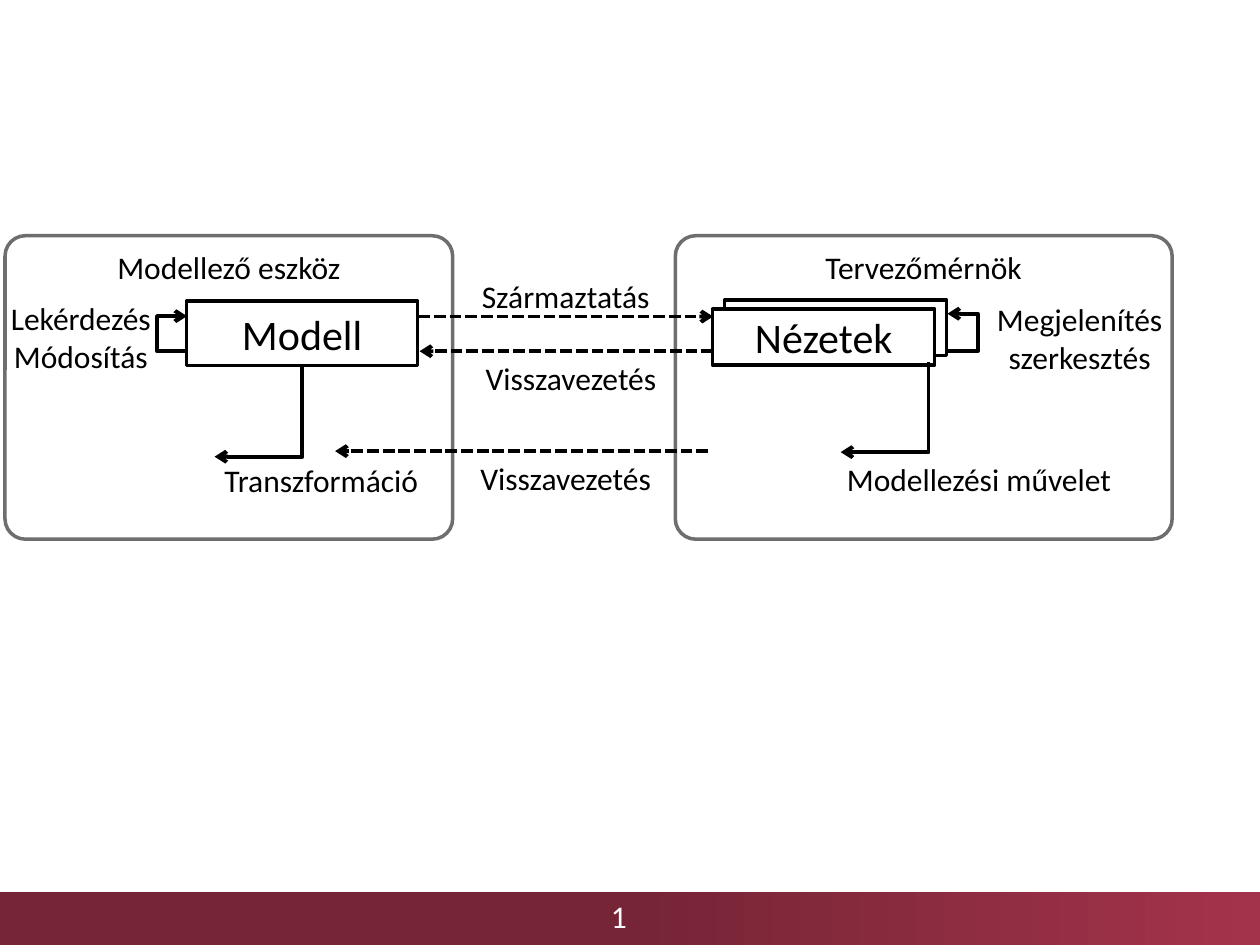
from pptx import Presentation
from pptx.dml.color import RGBColor
from pptx.enum.dml import MSO_LINE
from pptx.enum.shapes import MSO_CONNECTOR, MSO_SHAPE
from pptx.enum.text import MSO_ANCHOR, PP_ALIGN
from pptx.oxml.ns import qn
from pptx.util import Pt
from lxml import etree

RECT, ROUND = MSO_SHAPE.RECTANGLE, MSO_SHAPE.ROUNDED_RECTANGLE
LINE, ELBOW = MSO_CONNECTOR.STRAIGHT, MSO_CONNECTOR.ELBOW
DASH = MSO_LINE.SQUARE_DOT
TOP, MIDDLE = MSO_ANCHOR.TOP, MSO_ANCHOR.MIDDLE
LEFT, CENTER = PP_ALIGN.LEFT, PP_ALIGN.CENTER

THEME = {
    "font": "Calibri", "label": 18, "box": 24,
    "ink": "000000", "paper": "FFFFFF", "frame": "6C6E70",
    "dark": "762536", "light": "A3334B",
    "edge": 2, "arrow": 2.25,
}

# Content: lengths in points
WIDE, HIGH = 720, 540
BAR_TOP = 509.8
PANEL_TOP, PANEL_HIGH = 134.7, 173.4
PANELS = [("Tervezőmérnök", 385.9, 283.9), ("Modellező eszköz", 2.9, 255.8)]
BOXES = [  # text, left, top, width, height
    ("Modell", 106.6, 172.1, 132.1, 36.9),
    ("", 414, 171.4, 127, 31.9),
    ("Nézetek", 407.2, 176.6, 127, 31.9),
]
DASHED = [  # start x, end x, y
    (239, 407.5, 180.9),
    (407.5, 239.8, 200.7),
    (404.6, 191.5, 257.8),
]
LOOPS = [  # start x, start y, end x, end y, turning x
    (540.7, 200.7, 541.4, 179.3, 558.4),
    (107.6, 200.7, 106.9, 180.7, 90),
]
CORNERS = [(172.8, 209.4), (530.6, 206.8)]  # start, then down and left
DOWN, ACROSS = 51.6, 50.2
LABEL_HIGH = 29
LABELS = [  # text, left, top, width
    ("Származtatás", 239, 154.9, 168.5),
    ("Visszavezetés", 242, 201.8, 168.5),
    ("Lekérdezés\nMódosítás", -4.3, 167.2, 101),
    ("Megjelenítés\nszerkesztés", 558.7, 167.8, 116.6),
    ("Transzformáció", 118.1, 260.1, 131),
    ("Modellezési művelet", 475.2, 259.4, 168.5),
    ("Visszavezetés", 239, 258.5, 168.5),
]


def tint(name):
    return RGBColor.from_string(THEME[name])


def write(shape, text, size="label", color="ink", align=CENTER, anchor=TOP):
    frame = shape.text_frame
    frame.word_wrap = True
    frame.vertical_anchor = anchor
    para = frame.paragraphs[0]
    para.text = text
    para.alignment = align
    for run in para.runs:
        run.font.name = THEME["font"]
        run.font.size = Pt(THEME[size])
        run.font.color.rgb = tint(color)


def block(kind, x, y, w, h, edge=None):
    shape = shapes.add_shape(kind, Pt(x), Pt(y), Pt(w), Pt(h))
    shape.shadow.inherit = False
    if edge:
        shape.line.color.rgb = tint(edge)
        shape.line.width = Pt(THEME["edge"])
    else:
        shape.line.fill.background()
    return shape


def label(text, x, y, w, **style):
    high = LABEL_HIGH + 22 * text.count("\n")
    box = shapes.add_textbox(Pt(x), Pt(y), Pt(w), Pt(high))
    write(box, text, **style)


def arrow(kind, x1, y1, x2, y2, dash=None):
    link = shapes.add_connector(kind, Pt(x1), Pt(y1), Pt(x2), Pt(y2))
    link.line.color.rgb = tint("ink")
    link.line.width = Pt(THEME["arrow"])
    if dash:
        link.line.dash_style = dash
    props = link._element.spPr
    etree.SubElement(props.find(qn("a:ln")), qn("a:tailEnd"), type="arrow")
    etree.SubElement(props, qn("a:effectLst"))
    return props


def loop(x1, y1, x2, y2, turn):
    geom = arrow(ELBOW, x1, y1, x2, y2).find(qn("a:prstGeom"))
    ratio = round((turn - x1) / (x2 - x1) * 100000)
    guides = geom.get_or_add_avLst()
    etree.SubElement(guides, qn("a:gd"), name="adj1", fmla=f"val {ratio}")


def corner(x, y):
    # The unturned box shares its centre with the quarter-turned one
    left = x - ACROSS / 2 - DOWN / 2
    top = y + DOWN / 2 - ACROSS / 2
    props = arrow(ELBOW, left, top, left + DOWN, top + ACROSS)
    props.find(qn("a:xfrm")).set("rot", str(90 * 60000))
    props.find(qn("a:prstGeom")).set("prst", "bentConnector2")


deck = Presentation()
deck.slide_width, deck.slide_height = Pt(WIDE), Pt(HIGH)
shapes = deck.slides.add_slide(deck.slide_layouts[6]).shapes

# Footer bar and page number
bar = block(RECT, 0, BAR_TOP, WIDE, HIGH - BAR_TOP)
bar.fill.gradient()
bar.fill.gradient_angle = 0
for stop, (spot, name) in zip(bar.fill.gradient_stops,
                              [(0.5, "dark"), (1, "light")]):
    stop.position = spot
    stop.color.rgb = tint(name)
label("1", 342, 509, 36, color="paper", align=LEFT)

# Panels
for text, x, w in PANELS:
    panel = block(ROUND, x, PANEL_TOP, w, PANEL_HIGH, "frame")
    panel.fill.background()
    panel.adjustments[0] = 0.067
    write(panel, text)

# Arrows behind the boxes
for x1, x2, y in DASHED:
    arrow(LINE, x1, y, x2, y, DASH)
for spot in LOOPS:
    loop(*spot)

# Model and view boxes
for text, *spot in BOXES:
    box = block(RECT, *spot, "ink")
    box.fill.solid()
    box.fill.fore_color.rgb = tint("paper")
    if text:
        write(box, text, size="box", anchor=MIDDLE)

# Corner arrows and labels
for spot in CORNERS:
    corner(*spot)
for item in LABELS:
    label(*item)

deck.save("out.pptx")
